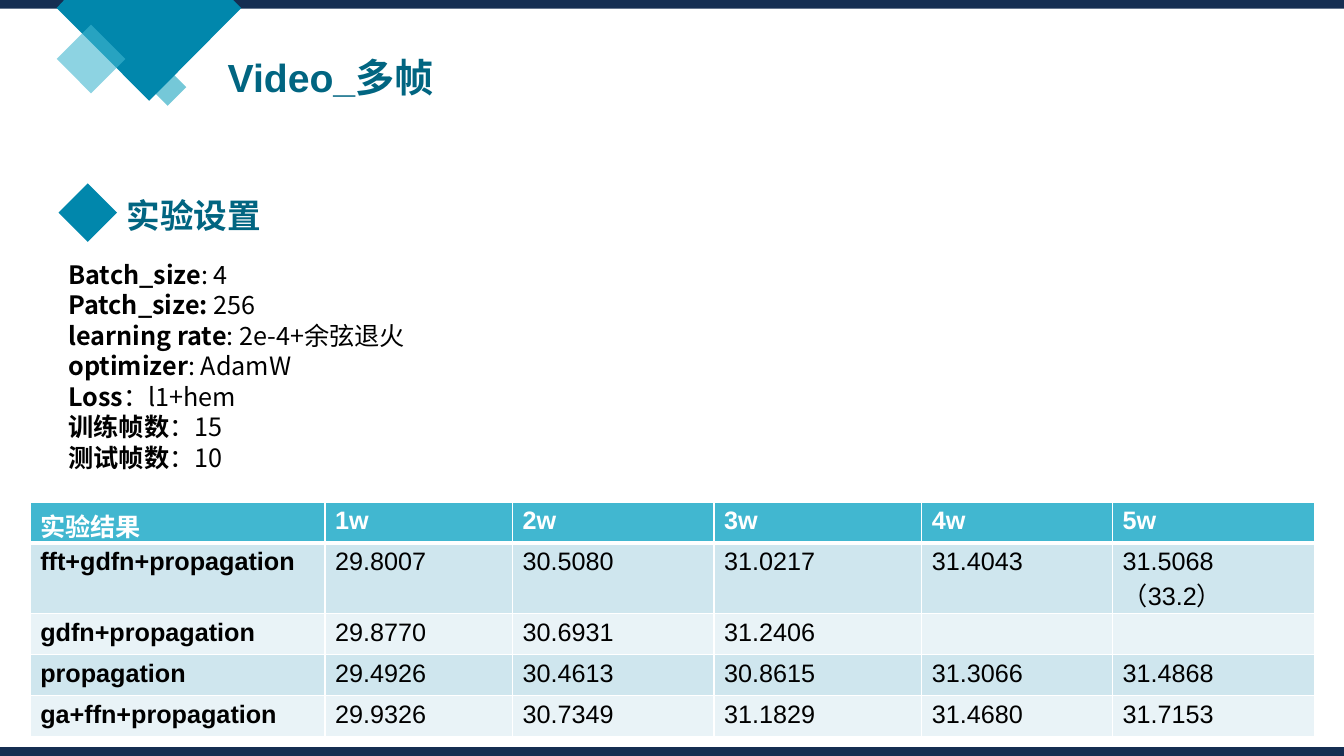
"""Build the multi-frame video experiment slide."""
from dataclasses import dataclass
from typing import Any, NamedTuple, Optional

from lxml import etree
from pptx import Presentation
from pptx import util as u
from pptx.dml.color import RGBColor
from pptx.enum import shapes, text
from pptx.oxml.ns import qn


@dataclass(frozen=True)
class Theme:
    navy: str = "152E52"
    teal: str = "0187AC"
    heading: str = "016581"
    aqua: str = "41B7D0"
    sea: str = "1AA4BE"
    band_dark: str = "CFE6EE"
    band_light: str = "E9F3F7"
    white: str = "FFFFFF"
    black: str = "000000"
    latin: str = "Arial"
    cjk: str = "Noto Sans CJK SC"
    title_size: float = 28
    section_size: float = 24
    body_size: float = 18
    body_pitch: float = 21.8


THEME = Theme()


class Box(NamedTuple):
    left: float
    top: float
    width: float
    height: float

    def lengths(self) -> list[u.Length]:
        return [u.Pt(value) for value in self]


@dataclass(frozen=True)
class Block:
    kind: shapes.MSO_SHAPE
    box: Box
    colour: str
    opacity: Optional[int] = None


class Span(NamedTuple):
    words: str
    bold: bool = True


@dataclass(frozen=True)
class Label:
    box: Box
    lines: list[list[Span]]
    size: float
    colour: str
    font: str
    pitch: Optional[float] = None


BANNER = [(45.9, 0), (166.6, 0), (172.3, 5.8), (106.6, 72), (40.5, 5.8)]
DIAMOND, BAR = shapes.MSO_SHAPE.DIAMOND, shapes.MSO_SHAPE.RECTANGLE
BACK_BLOCKS = [
    Block(DIAMOND, Box(106.5, 49, 26.6, 26.6), THEME.sea, 60),
    Block(BAR, Box(0, 0, 960, 6.3), THEME.navy),
]
FRONT_BLOCKS = [
    Block(DIAMOND, Box(40.5, 17.6, 49, 49), THEME.aqua, 60),
    Block(BAR, Box(0, 533.7, 960, 6.3), THEME.navy),
    Block(DIAMOND, Box(41.8, 131, 41.8, 41.8), THEME.teal),
]
SETTINGS = [
    ("Batch_size", ": 4"),
    ("Patch_size: ", "256"),
    ("learning rate", ": 2e-4+余弦退火"),
    ("optimizer", ": AdamW"),
    ("Loss", "：l1+hem"),
    ("训练帧数", "：15"),
    ("测试帧数", "：10"),
]
LABELS = [
    Label(Box(155.5, 34.6, 350, 41), [[Span("Video_多帧")]],
          THEME.title_size, THEME.heading, THEME.latin),
    Label(Box(83.5, 136, 155.5, 36), [[Span("实验设置")]],
          THEME.section_size, THEME.heading, THEME.latin),
    Label(Box(41.8, 181.4, 368, 160),
          [[Span(name), Span(value, False)] for name, value in SETTINGS],
          THEME.body_size, THEME.black, THEME.cjk, THEME.body_pitch),
]
RESULTS = [
    ["实验结果", "1w", "2w", "3w", "4w", "5w"],
    ["fft+gdfn+propagation", "29.8007", "30.5080", "31.0217", "31.4043", "31.5068（33.2）"],
    ["gdfn+propagation", "29.8770", "30.6931", "31.2406", "", ""],
    ["propagation", "29.4926", "30.4613", "30.8615", "31.3066", "31.4868"],
    ["ga+ffn+propagation", "29.9326", "30.7349", "31.1829", "31.4680", "31.7153"],
]
COLUMN_WIDTHS = [210.6, 133.9, 144, 148.3, 136.4, 144]
TABLE_LEFT, TABLE_TOP, ROW_HEIGHT = 21.6, 358.6, 29.2


def apply(target: Any, values: dict[str, Any]) -> None:
    """Set each named attribute on the target."""
    for name, value in values.items():
        setattr(target, name, value)


def paint(shape: Any, colour: str, opacity: Optional[int] = None) -> None:
    """Give a shape a flat fill without line or shadow."""
    shape.shadow.inherit = False
    shape.fill.solid()
    shape.fill.fore_color.rgb = RGBColor.from_string(colour)
    shape.line.fill.background()
    if opacity is not None:
        tint = shape.fill._xPr.find(".//" + qn("a:srgbClr"))
        etree.SubElement(tint, qn("a:alpha"), val=str(opacity * 1000))


def add_block(page: Any, block: Block) -> None:
    """Draw one preset shape."""
    shape = page.shapes.add_shape(block.kind, *block.box.lengths())
    paint(shape, block.colour, block.opacity)


def add_banner(page: Any) -> None:
    """Draw the clipped diamond hanging from the top edge."""
    start, *rest = [(u.Pt(x), u.Pt(y)) for x, y in BANNER]
    builder = page.shapes.build_freeform(*start)
    builder.add_line_segments(rest, close=True)
    paint(builder.convert_to_shape(), THEME.teal)


def add_span(para: Any, span: Span, size: float, colour: str, font: str) -> None:
    """Append one formatted run to a paragraph."""
    run = para.add_run()
    run.text = span.words
    apply(run.font, {"size": u.Pt(size), "bold": span.bold, "name": font})
    run.font.color.rgb = RGBColor.from_string(colour)
    east_asian = etree.Element(qn("a:ea"), typeface=THEME.cjk)
    run.font._element.find(qn("a:latin")).addnext(east_asian)


def add_label(page: Any, label: Label) -> None:
    """Draw a text box with its paragraphs."""
    frame = page.shapes.add_textbox(*label.box.lengths()).text_frame
    apply(frame, {"word_wrap": True, "auto_size": text.MSO_AUTO_SIZE.SHAPE_TO_FIT_TEXT})
    for index, line in enumerate(label.lines):
        para = frame.add_paragraph() if index else frame.paragraphs[0]
        if label.pitch:
            para.line_spacing = u.Pt(label.pitch)
        for span in line:
            add_span(para, span, label.size, label.colour, label.font)


def border_cell(cell: Any, widths: dict[str, float]) -> None:
    """Draw white borders of the given widths before the cell fill."""
    properties = cell._tc.get_or_add_tcPr()
    for index, (side, width) in enumerate(widths.items()):
        edge = etree.Element(qn(f"a:{side}"), w=str(u.Pt(width)))
        fill = etree.SubElement(edge, qn("a:solidFill"))
        etree.SubElement(fill, qn("a:srgbClr"), val=THEME.white)
        properties.insert(index, edge)


def add_results(page: Any) -> None:
    """Draw the results table with banded rows."""
    box = Box(TABLE_LEFT, TABLE_TOP, sum(COLUMN_WIDTHS), ROW_HEIGHT * len(RESULTS))
    table = page.shapes.add_table(len(RESULTS), len(COLUMN_WIDTHS), *box.lengths()).table
    table.horz_banding = False
    for column, width in zip(table.columns, COLUMN_WIDTHS):
        column.width = u.Pt(width)
    for row_index, values in enumerate(RESULTS):
        table.rows[row_index].height = u.Pt(ROW_HEIGHT)
        header = row_index == 0
        band = THEME.band_dark if row_index % 2 else THEME.band_light
        for column_index, value in enumerate(values):
            cell = table.cell(row_index, column_index)
            cell.fill.solid()
            cell.fill.fore_color.rgb = RGBColor.from_string(THEME.aqua if header else band)
            border_cell(cell, {"lnL": 1, "lnR": 1, "lnT": 3 if row_index == 1 else 1,
                               "lnB": 3 if header else 1})
            if value:
                add_span(cell.text_frame.paragraphs[0], Span(value, header or column_index == 0),
                         THEME.body_size, THEME.white if header else THEME.black, THEME.latin)


def main() -> None:
    """Assemble and save the deck."""
    deck = Presentation()
    apply(deck, {"slide_width": u.Pt(960), "slide_height": u.Pt(540)})
    page = deck.slides.add_slide(deck.slide_layouts[6])
    for block in BACK_BLOCKS:
        add_block(page, block)
    add_banner(page)
    for block in FRONT_BLOCKS:
        add_block(page, block)
    for label in LABELS:
        add_label(page, label)
    add_results(page)
    deck.save("out.pptx")


if __name__ == "__main__":
    main()
